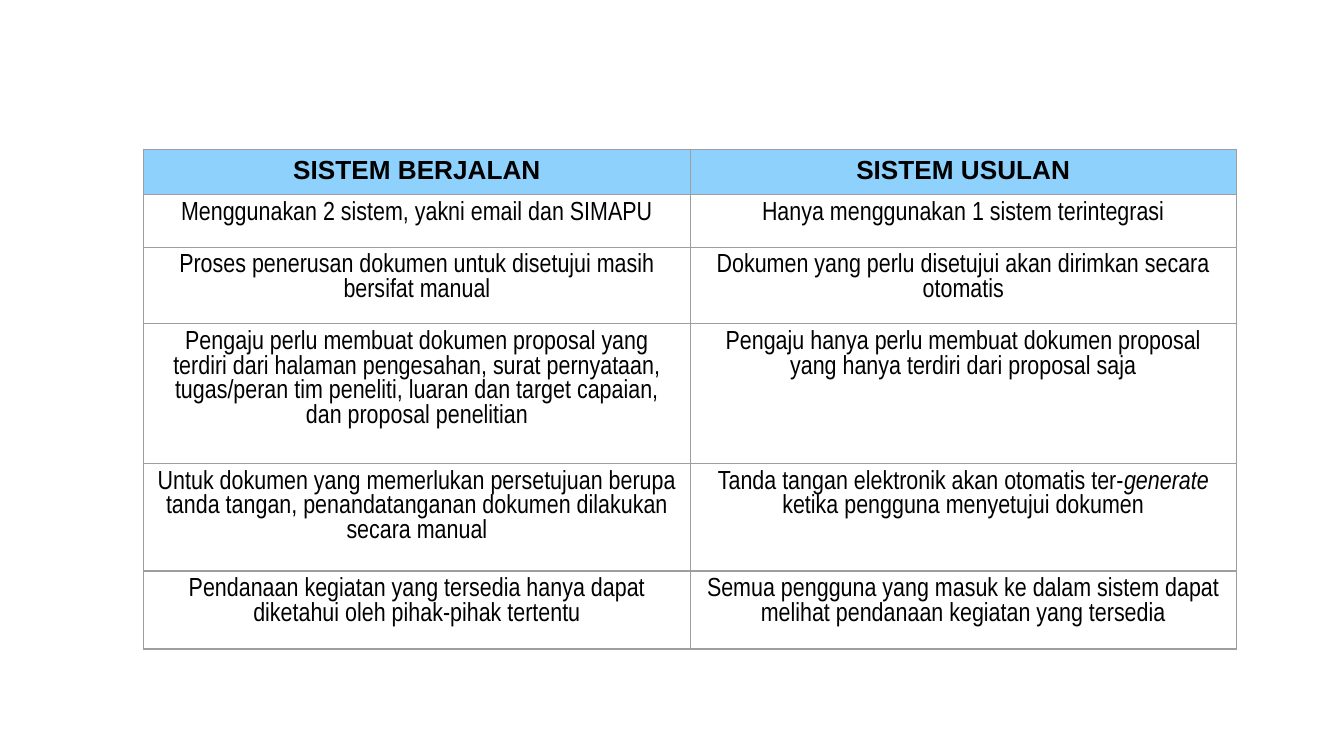
import pptx
import pptx.dml.color
import pptx.enum.text
import pptx.oxml
import pptx.oxml.ns
import pptx.util
from pptx.util import Inches

HEADINGS = ("SISTEM BERJALAN", "SISTEM USULAN")
COMPARISONS = (
    ("Menggunakan 2 sistem, yakni email dan SIMAPU",
     "Hanya menggunakan 1 sistem terintegrasi"),
    ("Proses penerusan dokumen untuk disetujui masih bersifat manual",
     "Dokumen yang perlu disetujui akan dirimkan secara otomatis"),
    ("Pengaju perlu membuat dokumen proposal yang terdiri dari halaman pengesahan, "
     "surat pernyataan, tugas/peran tim peneliti, luaran dan target capaian, "
     "dan proposal penelitian",
     "Pengaju hanya perlu membuat dokumen proposal yang hanya terdiri dari proposal saja"),
    ("Untuk dokumen yang memerlukan persetujuan berupa tanda tangan, "
     "penandatanganan dokumen dilakukan secara manual",
     ("Tanda tangan elektronik akan otomatis ter-", "generate",
      " ketika pengguna menyetujui dokumen")),
    ("Pendanaan kegiatan yang tersedia hanya dapat diketahui oleh pihak-pihak tertentu",
     "Semua pengguna yang masuk ke dalam sistem dapat melihat pendanaan kegiatan yang tersedia"),
)
ROW_HEIGHTS = (0.34, 0.39, 0.57, 1.04, 0.8, 0.58)
HEADING_FORMAT = {"name": "Arial", "size": pptx.util.Pt(14), "bold": True}
BODY_FORMAT = {"name": "Arial Narrow", "size": pptx.util.Pt(14), "bold": False}
CELL_FORMAT = {
    "margin_left": Inches(0.1),
    "margin_right": Inches(0.1),
    "margin_top": Inches(0.05),
    "margin_bottom": Inches(0.05),
}


def color(hex_value):
    return pptx.dml.color.RGBColor.from_string(hex_value)


def apply_format(target, values):
    for attribute, value in values.items():
        setattr(target, attribute, value)


def add_borders(cell, hex_value, width):
    properties = cell._tc.get_or_add_tcPr()
    for index, side in enumerate(("lnL", "lnR", "lnT", "lnB")):
        border = pptx.oxml.parse_xml(
            f'<a:{side} {pptx.oxml.ns.nsdecls("a")} w="{pptx.util.Pt(width)}">'
            f'<a:solidFill><a:srgbClr val="{hex_value}"/></a:solidFill></a:{side}>'
        )
        properties.insert(index, border)


def fill_cell(cell, content, font_format, background=None):
    apply_format(cell, CELL_FORMAT)
    if background:
        cell.fill.solid()
        cell.fill.fore_color.rgb = color(background)
    else:
        cell.fill.background()
    add_borders(cell, "9E9E9E", 0.75)
    paragraph = cell.text_frame.paragraphs[0]
    paragraph.alignment = pptx.enum.text.PP_ALIGN.CENTER
    phrases = (content,) if isinstance(content, str) else content
    for index, phrase in enumerate(phrases):
        run = paragraph.add_run()
        run.text = phrase
        apply_format(run.font, font_format)
        run.font.italic = index % 2 == 1
        run.font.color.rgb = color("000000")


def add_comparison_table(slide, left, top, width, height):
    rows = (HEADINGS,) + COMPARISONS
    table = slide.shapes.add_table(
        len(rows), len(HEADINGS),
        Inches(left), Inches(top), Inches(width), Inches(height),
    ).table
    apply_format(table, {"first_row": False, "horz_banding": False})
    for column in table.columns:
        column.width = Inches(width / len(HEADINGS))
    for row_index, contents in enumerate(rows):
        table.rows[row_index].height = Inches(height * ROW_HEIGHTS[row_index] / sum(ROW_HEIGHTS))
        for column_index, content in enumerate(contents):
            cell = table.cell(row_index, column_index)
            if row_index == 0:
                fill_cell(cell, content, HEADING_FORMAT, "8FD1FD")
            else:
                fill_cell(cell, content, BODY_FORMAT)


def main():
    presentation = pptx.Presentation()
    presentation.slide_width = Inches(10)
    presentation.slide_height = Inches(10 * 9 / 16)
    slide = presentation.slides.add_slide(presentation.slide_layouts[6])
    add_comparison_table(slide, 1.07, 1.11, 8.13, 3.72)
    presentation.save("out.pptx")


if __name__ == "__main__":
    main()
